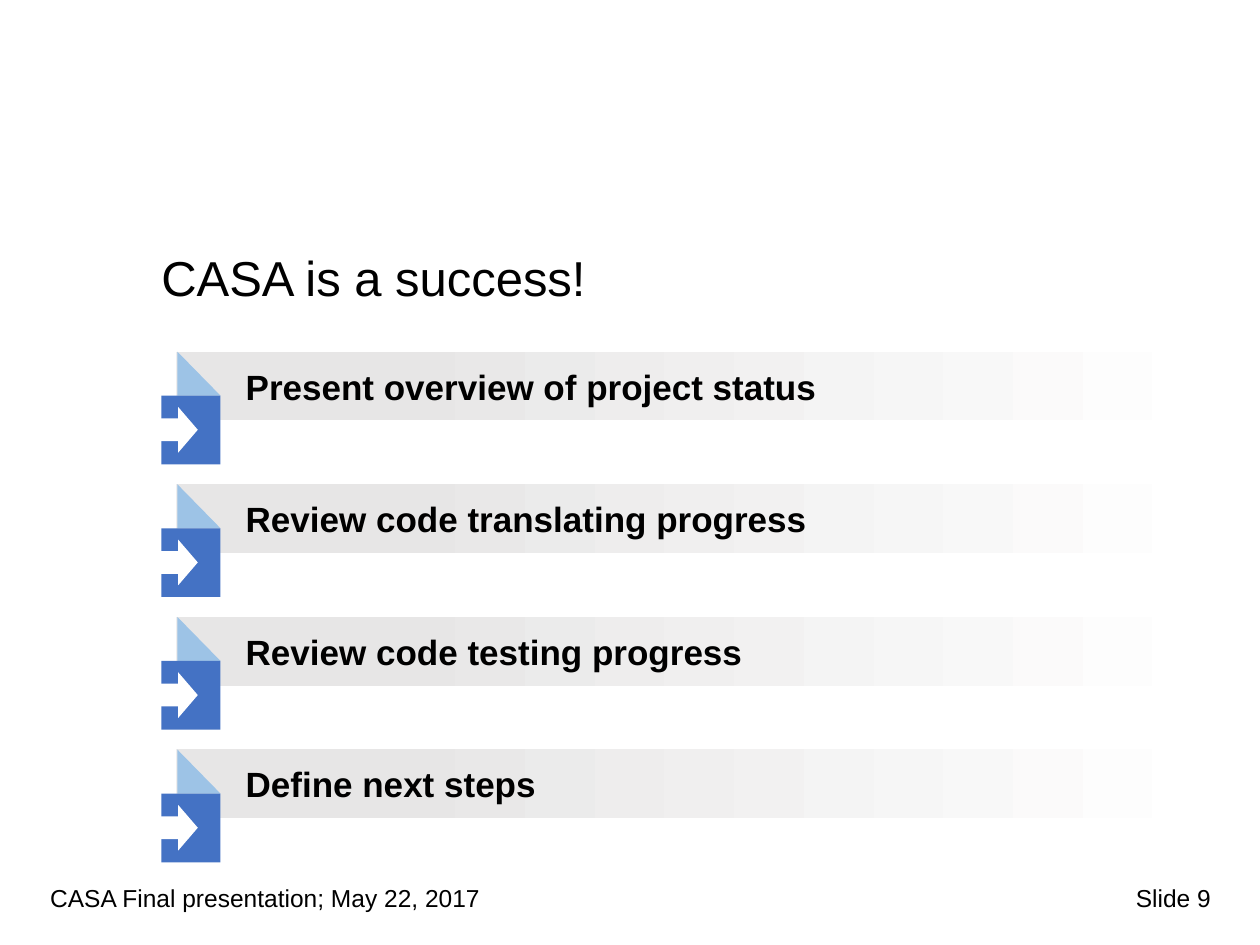
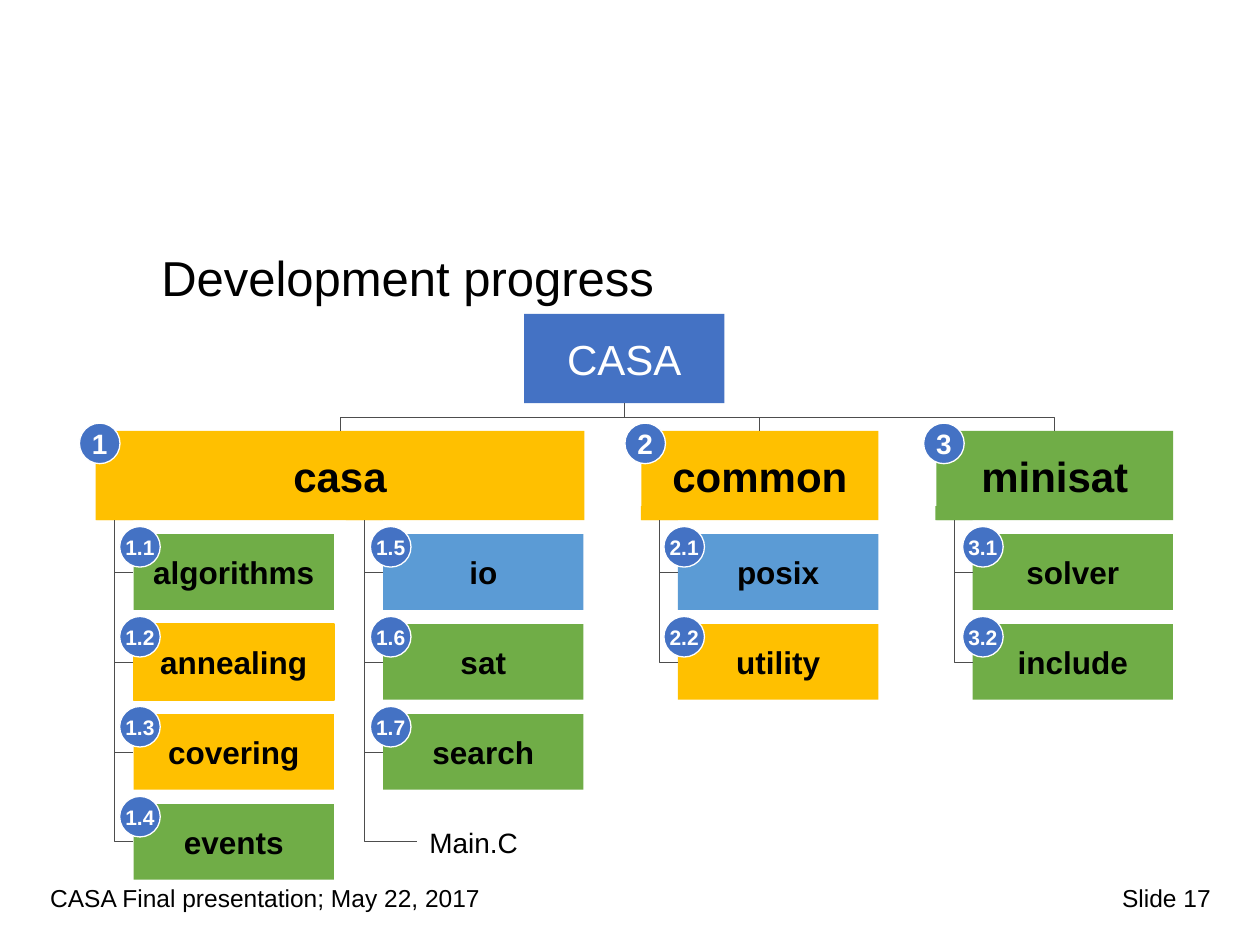
from dataclasses import dataclass

from lxml import etree
from pptx import Presentation
from pptx.dml.color import RGBColor
from pptx.enum.shapes import MSO_CONNECTOR, MSO_SHAPE
from pptx.enum.text import MSO_ANCHOR, MSO_AUTO_SIZE, PP_ALIGN
from pptx.oxml.ns import qn
from pptx.shapes.autoshape import Shape
from pptx.slide import Slide
from pptx.util import Pt

RECTANGLE = MSO_SHAPE.RECTANGLE
RIGHT_TRIANGLE = MSO_SHAPE.RIGHT_TRIANGLE
RIGHT_ARROW = MSO_SHAPE.RIGHT_ARROW
OVAL = MSO_SHAPE.OVAL
ELBOW = MSO_CONNECTOR.ELBOW
LEFT, CENTER, RIGHT = PP_ALIGN.LEFT, PP_ALIGN.CENTER, PP_ALIGN.RIGHT
TOP, MIDDLE = MSO_ANCHOR.TOP, MSO_ANCHOR.MIDDLE
FIXED_SIZE = MSO_AUTO_SIZE.NONE

BLACK = RGBColor(0x00, 0x00, 0x00)
WHITE = RGBColor(0xFF, 0xFF, 0xFF)
SILVER = RGBColor(0xE7, 0xE6, 0xE6)
LINK_GRAY = RGBColor(0x4D, 0x4D, 0x4D)
BLUE = RGBColor(0x44, 0x72, 0xC4)
PALE_BLUE = RGBColor(0x9D, 0xC3, 0xE6)
SKY = RGBColor(0x5B, 0x9B, 0xD5)
GREEN = RGBColor(0x70, 0xAD, 0x47)
AMBER = RGBColor(0xFF, 0xC0, 0x00)

FONT = "Arial"
FOOTER = "CASA Final presentation; May 22, 2017"
SITE_TOP, SITE_LEFT, SITE_BOTTOM = 0, 1, 2

AGENDA = (
    "Present overview of project status",
    "Review code translating progress",
    "Review code testing progress",
    "Define next steps",
)
AGENDA_TOP, AGENDA_PITCH = 200.9, 75.8

MODULE_TOP, MODULE_HEIGHT = 246.2, 51.1
UNIT_TOP, UNIT_PITCH = 305.3, 51.4
UNIT_WIDTH, UNIT_HEIGHT = 114.5, 43.2
TRUNK_GAP, TAB_WIDTH, TAB_HEIGHT = 10.6, 21.2, 8
BADGE_SIZE, BADGE_RISE = 23.2, 4.4


@dataclass(frozen=True)
class Box:
    left: float
    top: float
    width: float
    height: float


@dataclass(frozen=True)
class TextStyle:
    size: float
    color: RGBColor = BLACK
    bold: bool = False
    align: PP_ALIGN = LEFT
    anchor: MSO_ANCHOR = MIDDLE


@dataclass(frozen=True)
class Unit:
    name: str
    fill: RGBColor | None
    outlined: bool = False


@dataclass(frozen=True)
class Column:
    left: float
    badge_left: float
    units: tuple[Unit, ...]


@dataclass(frozen=True)
class Module:
    name: str
    fill: RGBColor
    left: float
    width: float
    badge_left: float
    columns: tuple[Column, ...]


FOOTER_STYLE = TextStyle(14, anchor=TOP)
PAGE_STYLE = TextStyle(14, align=RIGHT, anchor=TOP)
TITLE_STYLE = TextStyle(28, anchor=TOP)
AGENDA_STYLE = TextStyle(20, bold=True)
ROOT_STYLE = TextStyle(24, WHITE, align=CENTER)
MODULE_STYLE = TextStyle(24, bold=True, align=CENTER)
UNIT_STYLE = TextStyle(18, bold=True, align=CENTER)
FILE_STYLE = TextStyle(16)
MODULE_BADGE = TextStyle(16, WHITE, True, CENTER)
UNIT_BADGE = TextStyle(12, WHITE, True, CENTER)

ROOT_BOX = Box(299.5, 179.3, UNIT_WIDTH, MODULE_HEIGHT)
MODULES = (
    Module("casa", AMBER, 54.7, 279.2, 45.4, (
        Column(76.3, 68.4, (
            Unit("algorithms", GREEN),
            Unit("annealing", AMBER, outlined=True),
            Unit("covering", AMBER),
            Unit("events", GREEN),
        )),
        Column(218.9, 211.7, (
            Unit("io", SKY),
            Unit("sat", GREEN),
            Unit("search", GREEN),
            Unit("Main.C", None),
        )),
    )),
    Module("common", AMBER, 366.5, 135.4, 357.1, (
        Column(387.4, 379.4, (Unit("posix", SKY), Unit("utility", AMBER))),
    )),
    Module("minisat", GREEN, 535, 135.4, 527.8, (
        Column(555.8, 550.1, (Unit("solver", GREEN), Unit("include", GREEN))),
    )),
)


def write(shape: Shape, text: str, style: TextStyle) -> None:
    frame = shape.text_frame
    frame.word_wrap = True
    frame.auto_size = FIXED_SIZE
    frame.vertical_anchor = style.anchor
    frame.text = text
    paragraph = frame.paragraphs[0]
    paragraph.alignment = style.align
    font = paragraph.runs[0].font
    font.name = FONT
    font.size = Pt(style.size)
    font.bold = style.bold
    font.color.rgb = style.color


def points(box: Box) -> tuple[Pt, Pt, Pt, Pt]:
    return Pt(box.left), Pt(box.top), Pt(box.width), Pt(box.height)


def add_figure(slide: Slide, preset: MSO_SHAPE, box: Box, fill: RGBColor) -> Shape:
    figure = slide.shapes.add_shape(preset, *points(box))
    figure.shadow.inherit = False
    figure.fill.solid()
    figure.fill.fore_color.rgb = fill
    figure.line.fill.background()
    return figure


def add_block(slide: Slide, box: Box, fill: RGBColor, text: str, style: TextStyle) -> Shape:
    block = add_figure(slide, RECTANGLE, box, fill)
    write(block, text, style)
    return block


def add_label(slide: Slide, box: Box, text: str, style: TextStyle) -> Shape:
    label = slide.shapes.add_textbox(*points(box))
    write(label, text, style)
    return label


def set_outline(shape: Shape, color: RGBColor, width: float) -> None:
    shape.line.color.rgb = color
    shape.line.width = Pt(width)


def add_badge(slide: Slide, left: float, top: float, number: str, style: TextStyle) -> None:
    badge = add_figure(slide, OVAL, Box(left, top, BADGE_SIZE, BADGE_SIZE), BLUE)
    set_outline(badge, WHITE, 0.75)
    write(badge, number, style)
    frame = badge.text_frame
    frame.word_wrap = False
    frame.margin_left = frame.margin_right = frame.margin_top = frame.margin_bottom = 0


def add_link(slide: Slide, upper: Shape, lower: Shape, site: int, preset: str) -> None:
    start_x, start_y = upper.left + upper.width // 2, upper.top + upper.height
    if site == SITE_TOP:
        end_x, end_y = lower.left + lower.width // 2, lower.top
    else:
        end_x, end_y = lower.left, lower.top + lower.height // 2
    link = slide.shapes.add_connector(ELBOW, start_x, start_y, end_x, end_y)
    link.begin_connect(upper, SITE_BOTTOM)
    link.end_connect(lower, site)
    link.width, link.height = end_y - start_y, abs(end_x - start_x)
    link.left = (start_x + end_x - link.width) // 2
    link.top = (start_y + end_y - link.height) // 2
    set_outline(link, LINK_GRAY, 0.5)
    properties = link.element.spPr
    rightward = end_x > start_x
    frame = properties.find(qn("a:xfrm"))
    frame.set("rot", "16200000" if rightward else "5400000")
    frame.set("flipH", "1" if rightward else "0")
    frame.set("flipV", "0")
    properties.find(qn("a:prstGeom")).set("prst", preset)
    etree.SubElement(properties, qn("a:effectLst"))


def add_slide(deck: Presentation, title: str, page: int) -> Slide:
    slide = deck.slides.add_slide(deck.slide_layouts[5])
    heading = slide.shapes.title
    heading.left, heading.top, heading.width, heading.height = points(Box(85, 141.8, 613.4, 85.7))
    write(heading, title, TITLE_STYLE)
    heading.text_frame.paragraphs[0].line_spacing = 0.9
    add_label(slide, Box(21.6, 501.1, 319, 24.5), FOOTER, FOOTER_STYLE)
    add_label(slide, Box(501.8, 501.1, 197.3, 24.5), f"Slide {page}", PAGE_STYLE)
    return slide


def add_agenda_item(slide: Slide, top: float, text: str) -> None:
    band = add_block(slide, Box(100.8, top, 597.6, 39.4), SILVER, text, AGENDA_STYLE)
    band.fill.gradient()
    band.fill.gradient_angle = 0
    for stop, position, color in zip(band.fill.gradient_stops, (0.2, 1), (SILVER, WHITE)):
        stop.position = position
        stop.color.rgb = color
    frame = band.text_frame
    frame.margin_left, frame.margin_right = Pt(39.6), Pt(14.4)
    frame.margin_top = frame.margin_bottom = Pt(7.2)
    add_figure(slide, RIGHT_TRIANGLE, Box(101.3, top, 24.7, 25.2), PALE_BLUE)
    add_figure(slide, RECTANGLE, Box(92.2, top + 25.2, 33.8, 39.3), BLUE)
    add_figure(slide, RIGHT_ARROW, Box(90.7, top + 31.7, 22.3, 26), WHITE)


def add_unit(slide: Slide, left: float, top: float, unit: Unit) -> Shape:
    if unit.fill is None:
        return add_label(slide, Box(left + 19.4, top, 95, UNIT_HEIGHT), unit.name, FILE_STYLE)
    block = add_block(slide, Box(left, top, UNIT_WIDTH, UNIT_HEIGHT), unit.fill, unit.name, UNIT_STYLE)
    if unit.outlined:
        set_outline(block, unit.fill, 1)
    return block


def add_module(slide: Slide, root: Shape, module: Module, number: int) -> None:
    box = Box(module.left, MODULE_TOP, module.width, MODULE_HEIGHT)
    header = add_block(slide, box, module.fill, module.name, MODULE_STYLE)
    add_link(slide, root, header, SITE_TOP, "bentConnector3")
    add_badge(slide, module.badge_left, MODULE_TOP - BADGE_RISE, str(number), MODULE_BADGE)
    count = 0
    for column in module.columns:
        tab_left = column.left - TRUNK_GAP - TAB_WIDTH / 2
        tab_top = MODULE_TOP + MODULE_HEIGHT - TAB_HEIGHT
        tab = add_figure(slide, RECTANGLE, Box(tab_left, tab_top, TAB_WIDTH, TAB_HEIGHT), module.fill)
        for row, unit in enumerate(column.units):
            top = UNIT_TOP + row * UNIT_PITCH
            block = add_unit(slide, column.left, top, unit)
            add_link(slide, tab, block, SITE_LEFT, "bentConnector2")
            if unit.fill is not None:
                count += 1
                add_badge(slide, column.badge_left, top - BADGE_RISE, f"{number}.{count}", UNIT_BADGE)


def main() -> None:
    deck = Presentation()
    deck.slide_width, deck.slide_height = Pt(720), Pt(540)

    success = add_slide(deck, "CASA is a success!", 9)
    for row, text in enumerate(AGENDA):
        add_agenda_item(success, AGENDA_TOP + row * AGENDA_PITCH, text)

    progress = add_slide(deck, "Development progress", 17)
    root = add_block(progress, ROOT_BOX, BLUE, "CASA", ROOT_STYLE)
    for number, module in enumerate(MODULES, start=1):
        add_module(progress, root, module, number)

    deck.save("out.pptx")


if __name__ == "__main__":
    main()
